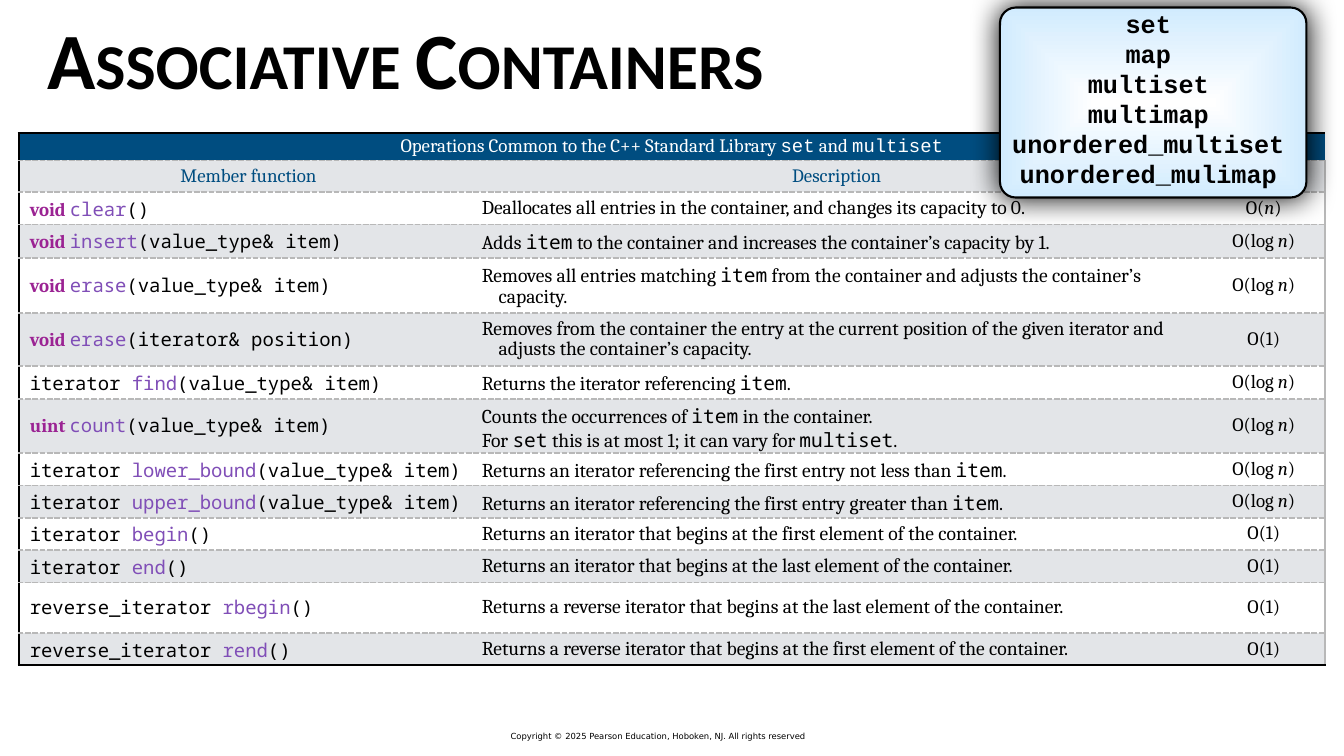
from dataclasses import dataclass

from lxml import etree
from pptx import Presentation
from pptx.dml.color import RGBColor
from pptx.enum import shapes, text
from pptx.oxml import ns
from pptx.util import Pt


@dataclass(frozen=True)
class Theme:
    black: str = "000000"
    white: str = "FFFFFF"
    navy: str = "004D80"
    band: str = "E3E5E8"
    rule: str = "B8B8B8"
    key: str = "9B2393"
    name: str = "804EB7"
    sky: str = "D1EBFE"
    serif: str = "Cambria"
    mono: str = "Noto Sans Mono"
    fixed: str = "Courier New"
    sans: str = "DejaVu Sans"
    head: str = "Calibri"
    title: int = 114
    box: int = 36
    body: int = 28
    cell: int = 27
    note: int = 12


T = Theme()
MID = text.MSO_ANCHOR.MIDDLE
CENTER = text.PP_ALIGN.CENTER
A = ns.nsdecls("a")
NO_STYLE = "{2D5ABB26-0587-4C30-8999-92F81FD0307C}"
WIDTHS = (653.8, 1034.6, 177.8)
LOG, ONE = "O(log *n*)", "O(1)"
ITEM = "(value_type& item)"

# return type, function name, arguments, description, efficiency, row height;
# `...` marks code and *...* marks italics
ROWS = [
    ("void", "clear", "()", "Deallocates all entries in the container, and changes its capacity to 0.",
     "O(*n*)", 44.6),
    ("void", "insert", ITEM, "Adds `item` to the container and increases the container’s capacity by 1.",
     LOG, 48.2),
    ("void", "erase", ITEM, "Removes all entries matching `item` from the container and adjusts "
     "the container’s capacity.", LOG, 77.8),
    ("void", "erase", "(iterator& position)", "Removes from the container the entry at the current position "
     "of the given iterator and adjusts the container’s capacity.", ONE, 74.9),
    ("iterator", "find", ITEM, "Returns the iterator referencing `item`.", LOG, 44.6),
    ("uint", "count", ITEM, "Counts the occurrences of `item` in the container.\n"
     "For `set` this is at most 1; it can vary for `multiset`.", LOG, 77.8),
    ("iterator", "lower_bound", ITEM, "Returns an iterator referencing the first entry not less than `item`.",
     LOG, 44.6),
    ("iterator", "upper_bound", ITEM, "Returns an iterator referencing the first entry greater than `item`.",
     LOG, 44.6),
    ("iterator", "begin", "()", "Returns an iterator that begins at the first element of the container.",
     ONE, 44.6),
    ("iterator", "end", "()", "Returns an iterator that begins at the last element of the container.",
     ONE, 44.6),
    ("reverse_iterator", "rbegin", "()",
     "Returns a reverse iterator that begins at the last element of the container.", ONE, 72),
    ("reverse_iterator", "rend", "()",
     "Returns a reverse iterator that begins at the first element of the container.", ONE, 44.6),
]


def assign(obj, **vals):
    for key, val in vals.items():
        setattr(obj, key, val)


def add_run(par, words, size, face, color=T.black, **vals):
    run = par.add_run()
    run.text = words
    assign(run.font, size=Pt(size), name=face, **vals)
    run.font.color.rgb = RGBColor.from_string(color)
    return run


def add_marked(par, words, size, code=T.mono, color=T.black):
    """Write words, with `code` and *italic* parts."""
    for i, part in enumerate(words.split("`")):
        if i % 2:
            add_run(par, part, size, code, color)
            continue
        for j, bit in enumerate(part.split("*")):
            if bit:
                add_run(par, bit, size, T.serif, color, italic=bool(j % 2))


def add_box(parent, box, pad=(0, 0), wrap=True):
    frame = parent.add_textbox(*map(Pt, box)).text_frame
    x, y = map(Pt, pad)
    assign(frame, word_wrap=wrap, vertical_anchor=MID, margin_left=x, margin_right=x,
           margin_top=y, margin_bottom=y)
    return frame


def shadow_xml(blur, dist, angle, alpha):
    return etree.fromstring(
        f'<a:effectLst {A}><a:outerShdw blurRad="{Pt(blur)}" dist="{Pt(dist)}" dir="{angle * 60000}" '
        f'algn="ctr" rotWithShape="0"><a:srgbClr val="{T.black}"><a:alpha val="{alpha * 1000}"/>'
        '</a:srgbClr></a:outerShdw></a:effectLst>')


def add_title(slide, box):
    frame = add_box(slide.shapes, box, (6, 6))
    run = add_run(frame.paragraphs[0], "Associative Containers", T.title, T.head, bold=True)
    props = run.font._element
    props.set("cap", "small")
    props.find(ns.qn("a:solidFill")).addnext(shadow_xml(6, 5, 45, 60))


def style_cell(cell, fill, edges, pad):
    """Set margins, the four borders (color, dash) or None, and the fill."""
    assign(cell, vertical_anchor=MID, **{
        f"margin_{side}": Pt(gap) for side, gap in zip(("left", "top", "right", "bottom"), pad)})
    props = cell._tc.get_or_add_tcPr()
    for side, edge in zip("LRTB", edges):
        paint = "<a:noFill/>"
        if edge:
            paint = (f'<a:solidFill><a:srgbClr val="{edge[0]}"/></a:solidFill>'
                     f'<a:prstDash val="{edge[1]}"/>')
        props.append(etree.fromstring(f'<a:ln{side} {A} w="{Pt(3)}">{paint}</a:ln{side}>'))
    cell.fill.solid()
    cell.fill.fore_color.rgb = RGBColor.from_string(fill)


def new_par(frame, first, center=False, hang=True):
    par = frame.paragraphs[0] if first else frame.add_paragraph()
    par.line_spacing = 0.9
    if center:
        par.alignment = CENTER
    if hang:
        par._p.get_or_add_pPr().set("marL", str(Pt(32)))
        par._p.get_or_add_pPr().set("indent", str(Pt(-24)))
    return par


def fill_row(cells, row):
    kind, name, args, about, cost, _ = row
    par = new_par(cells[0].text_frame, True)
    if kind in ("void", "uint"):
        add_run(par, kind + " ", T.cell, T.serif, T.key, bold=True)
    else:
        add_run(par, kind + " ", T.cell, T.mono)
    add_run(par, name, T.cell, T.mono, T.name)
    add_run(par, args, T.cell, T.mono)
    for i, line in enumerate(about.split("\n")):
        add_marked(new_par(cells[1].text_frame, i == 0), line, T.body)
    add_marked(new_par(cells[2].text_frame, True, center=True), cost, T.cell)


def add_ops(slide, box):
    heights = [38.9, 44.6] + [row[-1] for row in ROWS]
    table = slide.shapes.add_table(len(heights), len(WIDTHS), *map(Pt, box)).table
    table._tbl.tblPr.find(ns.qn("a:tableStyleId")).text = NO_STYLE
    for col, width in zip(table.columns, WIDTHS):
        col.width = Pt(width)
    dark, gray, dash = (T.black, "solid"), (T.rule, "solid"), (T.rule, "sysDash")
    last = len(heights) - 1
    for r, height in enumerate(heights):
        table.rows[r].height = Pt(height)
        fill = T.navy if r == 0 else T.band if r % 2 else T.white
        for c, cell in enumerate(table.rows[r].cells):
            edges = (None if c else dark, gray if c == 2 else None,
                     dash if r else dark, dark if r == last else dash)
            style_cell(cell, fill, edges, (0 if c else 8, 8, 5, 8) if r else (5, 5, 5, 5))
    table.cell(0, 0).merge(table.cell(0, 2))
    heads = [(0, 0, "Operations Common to the C++ Standard Library `set` and `multiset`", T.white)]
    heads += [(1, c, word, T.navy)
              for c, word in enumerate(("Member function", "Description", "Efficiency"))]
    for r, c, words, color in heads:
        par = new_par(table.cell(r, c).text_frame, True, center=True, hang=False)
        add_marked(par, words, T.cell, T.fixed, color)
    for r, row in enumerate(ROWS, 2):
        fill_row(table.rows[r].cells, row)


def add_kinds(slide, box):
    """Draw the rounded panel that lists the container types."""
    x, y, w, h = box
    group = slide.shapes.add_group_shape().shapes
    panel = group.add_shape(shapes.MSO_SHAPE.ROUNDED_RECTANGLE, *map(Pt, box))
    panel.adjustments[0] = 0.083
    panel.line.width = Pt(3)
    panel.line.color.rgb = RGBColor.from_string(T.black)
    props = panel._element.spPr
    props.find(ns.qn("a:prstGeom")).addnext(etree.fromstring(
        f'<a:gradFill {A} rotWithShape="1"><a:gsLst><a:gs pos="0"><a:srgbClr val="{T.white}"/></a:gs>'
        f'<a:gs pos="100000"><a:srgbClr val="{T.sky}"/></a:gs></a:gsLst><a:path path="shape">'
        '<a:fillToRect l="50000" t="50000" r="50000" b="50000"/></a:path></a:gradFill>'))
    props.append(shadow_xml(43, 0, 51, 100))
    frame = add_box(group, (x + 2, y - 1, w - 18, h - 9))
    names = ("set", "map", "multiset", "multimap", "unordered_multiset", "unordered_mulimap")
    for i, name in enumerate(names):
        par = frame.add_paragraph() if i else frame.paragraphs[0]
        assign(par, alignment=CENTER, line_spacing=Pt(43))
        add_run(par, name, T.box, T.fixed, bold=True)


def add_note(slide, box):
    frame = add_box(slide.shapes, box, (0, 1.5), wrap=False)
    add_run(frame.paragraphs[0], "Copyright © 2025 Pearson Education, Hoboken, NJ. All rights reserved",
            T.note, T.sans)


def main():
    deck = Presentation()
    assign(deck, slide_width=Pt(1920), slide_height=Pt(1080))
    slide = deck.slides.add_slide(deck.slide_layouts[6])
    add_note(slide, (729.4, 1043.3, 487.4, 17.3))
    add_ops(slide, (26.6, 190, sum(WIDTHS), 804))
    add_title(slide, (61.2, 0, 1666.8, 164.9))
    add_kinds(slide, (1428.5, 10.8, 437.8, 271.4))
    deck.save("out.pptx")


if __name__ == "__main__":
    main()
